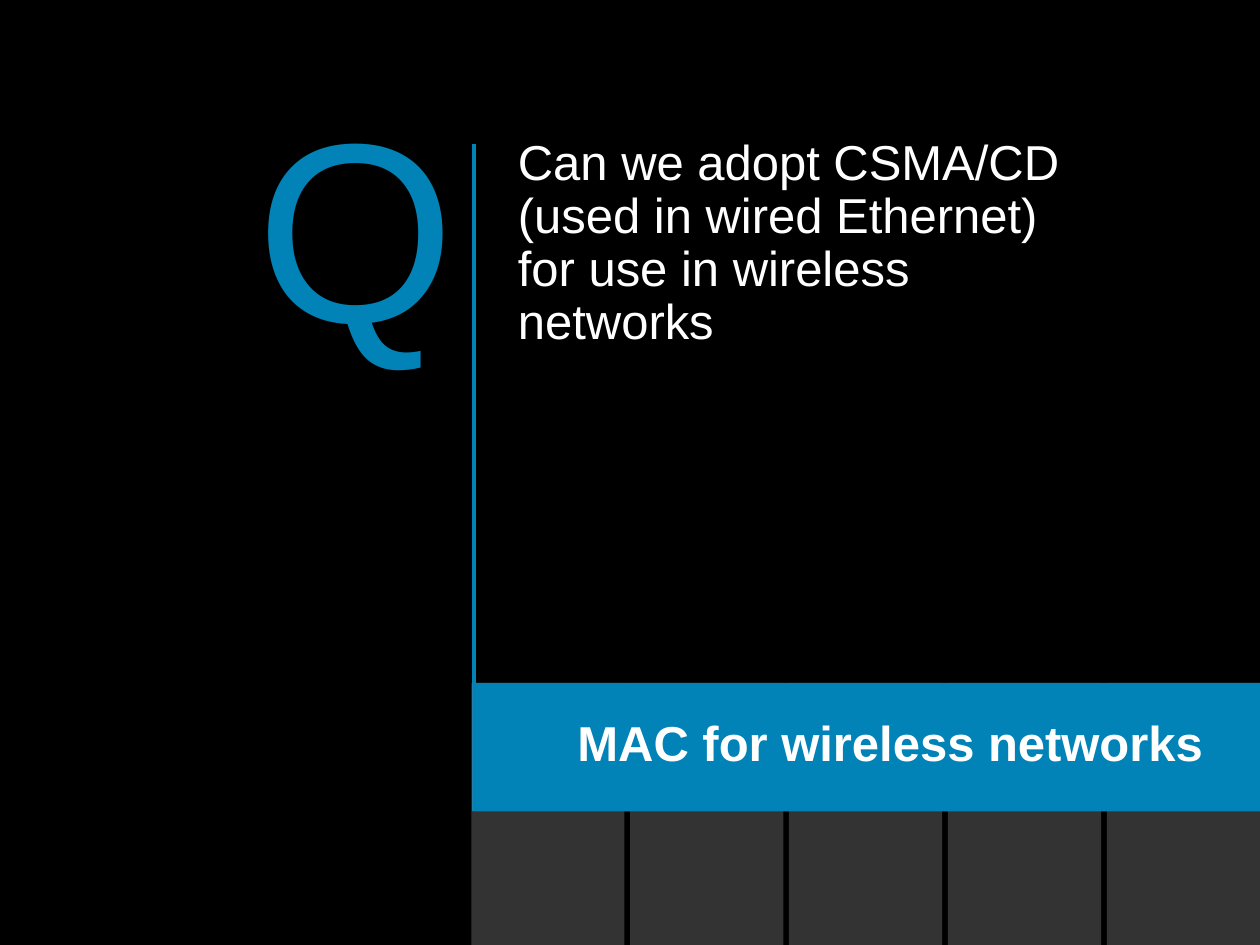
from dataclasses import dataclass

import pptx
import pptx.dml.color
import pptx.enum.shapes
import pptx.enum.text
import pptx.oxml.ns
import pptx.util
from lxml import etree

ALIGN = pptx.enum.text.PP_ALIGN
WIDTH, HEIGHT = pptx.util.Inches(10), pptx.util.Inches(7.5)


@dataclass(frozen=True)
class Theme:
    font: str = "Arial"
    background: str = "000000"
    accent: str = "0183B7"
    text: str = "FFFFFF"
    tile: str = "808080"
    tile_alpha: int = 40
    body_size: int = 28
    letter_size: int = 146
    rule_width: int = 2


@dataclass(frozen=True)
class Box:
    """A frame in percent of the slide's width and height."""
    x: float
    y: float
    w: float
    h: float

    def emu(self) -> tuple:
        return across(self.x), down(self.y), across(self.w), down(self.h)


THEME = Theme()

# Layout, in percent of the slide
QUESTION = Box(40.2, 14.13, 46.5, 23.87)
LETTER = Box(19.4, 10.27, 17.6, 30.4)
BAND = Box(37.5, 72.27, 62.5, 13.6)
BAND_TITLE = Box(41.3, 75.6, 58.7, 6.93)
RULE_X, RULE_TOP = 37.6, 15.2
TILE_LEFT, TILE_COUNT, TILE_GAP = 37.4, 5, 0.45


def across(share: float) -> int:
    return round(WIDTH * share / 100)


def down(share: float) -> int:
    return round(HEIGHT * share / 100)


def rgb(color: str) -> pptx.dml.color.RGBColor:
    return pptx.dml.color.RGBColor.from_string(color)


def add_text(shapes, box: Box, text: str, *, size: int = THEME.body_size,
             color: str = THEME.text, bold: bool = False,
             align=ALIGN.LEFT, wrap: bool = True):
    sp = shapes.add_textbox(*box.emu())
    tf = sp.text_frame
    tf.word_wrap = wrap
    tf.auto_size = pptx.enum.text.MSO_AUTO_SIZE.SHAPE_TO_FIT_TEXT
    tf.margin_left = tf.margin_right = pptx.util.Inches(0.09)
    tf.margin_top = tf.margin_bottom = pptx.util.Inches(0.04)
    p = tf.paragraphs[0]
    p.alignment, p.line_spacing = align, 0.9
    r = p.add_run()
    r.text = text
    r.font.name, r.font.size, r.font.bold = THEME.font, pptx.util.Pt(size), bold
    r.font.color.rgb = rgb(color)
    return sp


def add_rect(shapes, box: Box, color: str, alpha: int = 100):
    sp = shapes.add_shape(pptx.enum.shapes.MSO_SHAPE.RECTANGLE, *box.emu())
    sp.shadow.inherit = False
    sp.line.fill.background()
    sp.fill.solid()
    sp.fill.fore_color.rgb = rgb(color)
    if alpha < 100:
        clr = sp.fill._xPr.find(".//" + pptx.oxml.ns.qn("a:srgbClr"))
        etree.SubElement(clr, pptx.oxml.ns.qn("a:alpha"), val=str(alpha * 1000))
    return sp


def add_rule(shapes, x: float, top: float, bottom: float):
    sp = shapes.add_connector(pptx.enum.shapes.MSO_CONNECTOR.STRAIGHT,
                              across(x), down(bottom), across(x), down(top))
    sp.line.color.rgb = rgb(THEME.accent)
    sp.line.width = pptx.util.Pt(THEME.rule_width)
    etree.SubElement(sp._element.spPr, pptx.oxml.ns.qn("a:effectLst"))
    return sp


def main() -> None:
    prs = pptx.Presentation()
    prs.slide_width, prs.slide_height = WIDTH, HEIGHT
    s = prs.slides.add_slide(prs.slide_layouts[6])
    s.background.fill.solid()
    s.background.fill.fore_color.rgb = rgb(THEME.background)

    # Question, with its rule and large letter
    add_text(s.shapes, QUESTION, "Can we adopt CSMA/CD (used in wired Ethernet) "
                                 "for use in wireless networks")
    add_rule(s.shapes, RULE_X, RULE_TOP, BAND.y + BAND.h)
    add_text(s.shapes, LETTER, "Q", size=THEME.letter_size, color=THEME.accent,
             align=ALIGN.RIGHT, wrap=False)

    # Row of translucent tiles reaching the right and bottom edges
    pitch = (100 - TILE_LEFT + TILE_GAP) / TILE_COUNT
    for i in range(TILE_COUNT):
        tile = Box(TILE_LEFT + i * pitch, BAND.y, pitch - TILE_GAP, 100 - BAND.y)
        add_rect(s.shapes, tile, THEME.tile, THEME.tile_alpha)

    # Title band over the tiles
    band = s.shapes.add_group_shape()
    add_rect(band.shapes, BAND, THEME.accent)
    add_text(band.shapes, BAND_TITLE, "MAC for wireless networks",
             bold=True, align=ALIGN.CENTER)

    prs.save("out.pptx")


if __name__ == "__main__":
    main()
